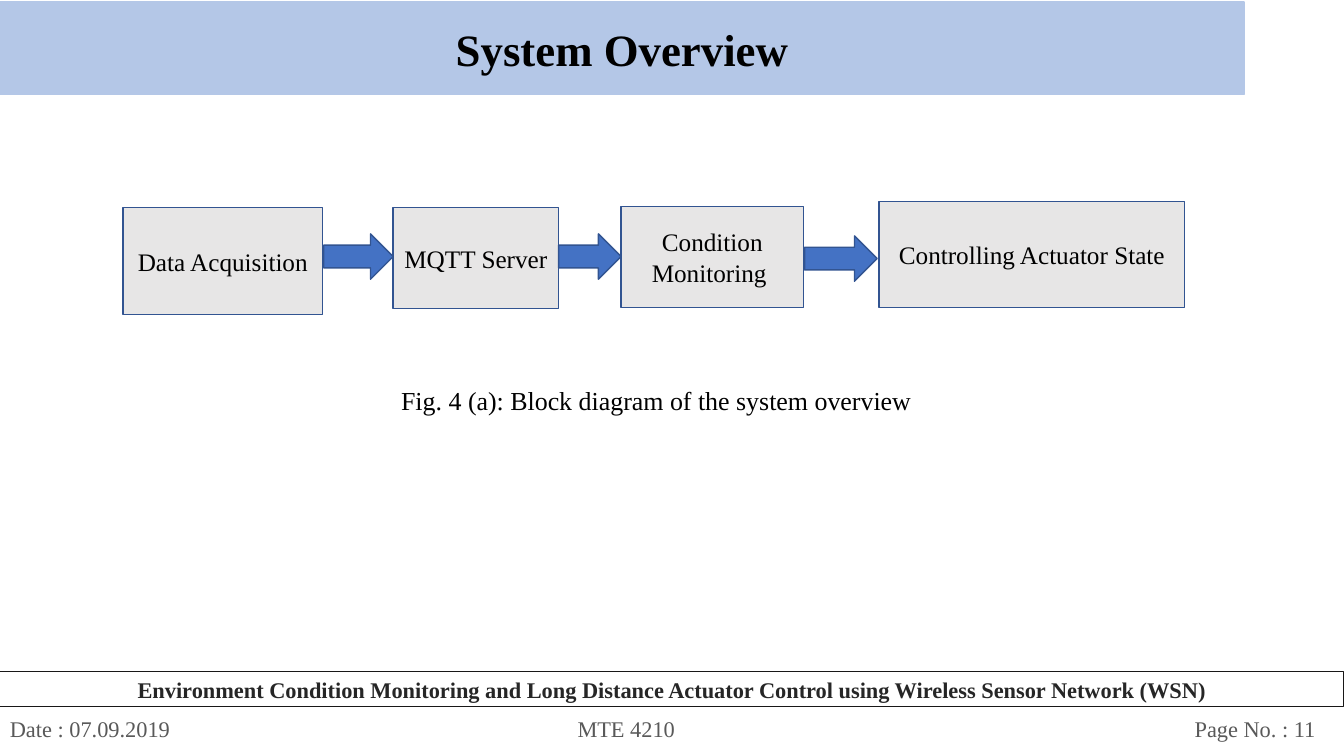
from dataclasses import dataclass

from lxml.etree import SubElement
from pptx import Presentation
from pptx.dml.color import RGBColor
from pptx.enum.shapes import MSO_SHAPE
from pptx.enum.text import MSO_ANCHOR, MSO_AUTO_SIZE, PP_ALIGN
from pptx.oxml.ns import qn
from pptx.shapes.autoshape import Shape
from pptx.slide import Slide
from pptx.util import Pt

PX = 9144
FONT = "Times New Roman"
COLORS = {
    "banner": "B4C7E7",
    "block": "E7E6E6",
    "arrow": "4472C4",
    "outline": "325491",
    "project_outline": "181717",
    "text": "000000",
    "project": "262626",
    "footer": "595959",
}


@dataclass(frozen=True)
class Box:
    left: int
    top: int
    width: int
    height: int

    def emu(self) -> tuple[int, int, int, int]:
        return self.left * PX, self.top * PX, self.width * PX, self.height * PX


@dataclass(frozen=True)
class Stage:
    label: str
    box: Box


STAGES = (
    Stage("Data Acquisition", Box(122, 206, 198, 106)),
    Stage("MQTT Server", Box(390, 206, 164, 100)),
    Stage("Condition Monitoring ", Box(616, 205, 181, 100)),
    Stage("Controlling Actuator State", Box(872, 200, 303, 105)),
)
ARROWS = (
    Box(321, 232, 69, 45),
    Box(554, 232, 62, 45),
    Box(798, 234, 72, 45),
)
FOOTER_TABS = (563, 1175)


def color(name: str) -> RGBColor:
    return RGBColor.from_string(COLORS[name])


def write(shape: Shape, text: str, size: float, ink: str,
          align: PP_ALIGN = PP_ALIGN.CENTER, bold: bool = False,
          anchor: MSO_ANCHOR = MSO_ANCHOR.MIDDLE, tabs: tuple[int, ...] = ()) -> None:
    frame = shape.text_frame
    frame.word_wrap = True
    frame.auto_size = MSO_AUTO_SIZE.NONE
    frame.vertical_anchor = anchor
    paragraph = frame.paragraphs[0]
    paragraph.add_run().text = text
    paragraph.alignment = align
    if tabs:
        tab_list = SubElement(paragraph._p.get_or_add_pPr(), qn("a:tabLst"))
        for position in tabs:
            SubElement(tab_list, qn("a:tab"), pos=str(position * PX), algn="l")
    font = paragraph.font
    font.name, font.size, font.bold = FONT, Pt(size), bold
    font.color.rgb = color(ink)


def paint(shape: Shape, fill: str | None, outline: str, weight: float = 1) -> None:
    if fill:
        shape.fill.solid()
        shape.fill.fore_color.rgb = color(fill)
    else:
        shape.fill.background()
    shape.line.color.rgb = color(outline)
    shape.line.width = Pt(weight)


def add_figure(slide: Slide, kind: MSO_SHAPE, box: Box, fill: str | None,
               outline: str, weight: float = 1) -> Shape:
    figure = slide.shapes.add_shape(kind, *box.emu())
    figure.shadow.inherit = False
    paint(figure, fill, outline, weight)
    return figure


def add_note(slide: Slide, box: Box, text: str, size: float, ink: str,
             tabs: tuple[int, ...] = ()) -> None:
    note = slide.shapes.add_textbox(*box.emu())
    write(note, text, size, ink, PP_ALIGN.LEFT, anchor=MSO_ANCHOR.TOP, tabs=tabs)


def main() -> None:
    deck = Presentation()
    deck.slide_width, deck.slide_height = 1333 * PX, 750 * PX
    slide = deck.slides.add_slide(deck.slide_layouts[5])

    title = slide.shapes.title
    title.left, title.top, title.width, title.height = Box(0, 2, 1234, 92).emu()
    paint(title, "banner", "banner")
    write(title, "System Overview", 32, "text", bold=True)

    add_note(slide, Box(388, 377, 557, 59),
             "Fig. 4 (a): Block diagram of the system overview", 18.5, "text")

    for stage in STAGES:
        block = add_figure(slide, MSO_SHAPE.RECTANGLE, stage.box, "block", "outline")
        write(block, stage.label, 18, "text")
    for box in ARROWS:
        add_figure(slide, MSO_SHAPE.RIGHT_ARROW, box, "arrow", "outline")

    add_note(slide, Box(0, 705, 1333, 45),
             "Date : 07.09.2019\tMTE 4210\tPage No. : 11", 16, "footer", FOOTER_TABS)
    project = add_figure(slide, MSO_SHAPE.RECTANGLE, Box(0, 666, 1333, 35),
                         None, "project_outline", 0.75)
    write(project,
          "Environment Condition Monitoring and Long Distance Actuator Control "
          "using Wireless Sensor Network (WSN)",
          16, "project", bold=True, anchor=MSO_ANCHOR.TOP)

    deck.save("out.pptx")


if __name__ == "__main__":
    main()
